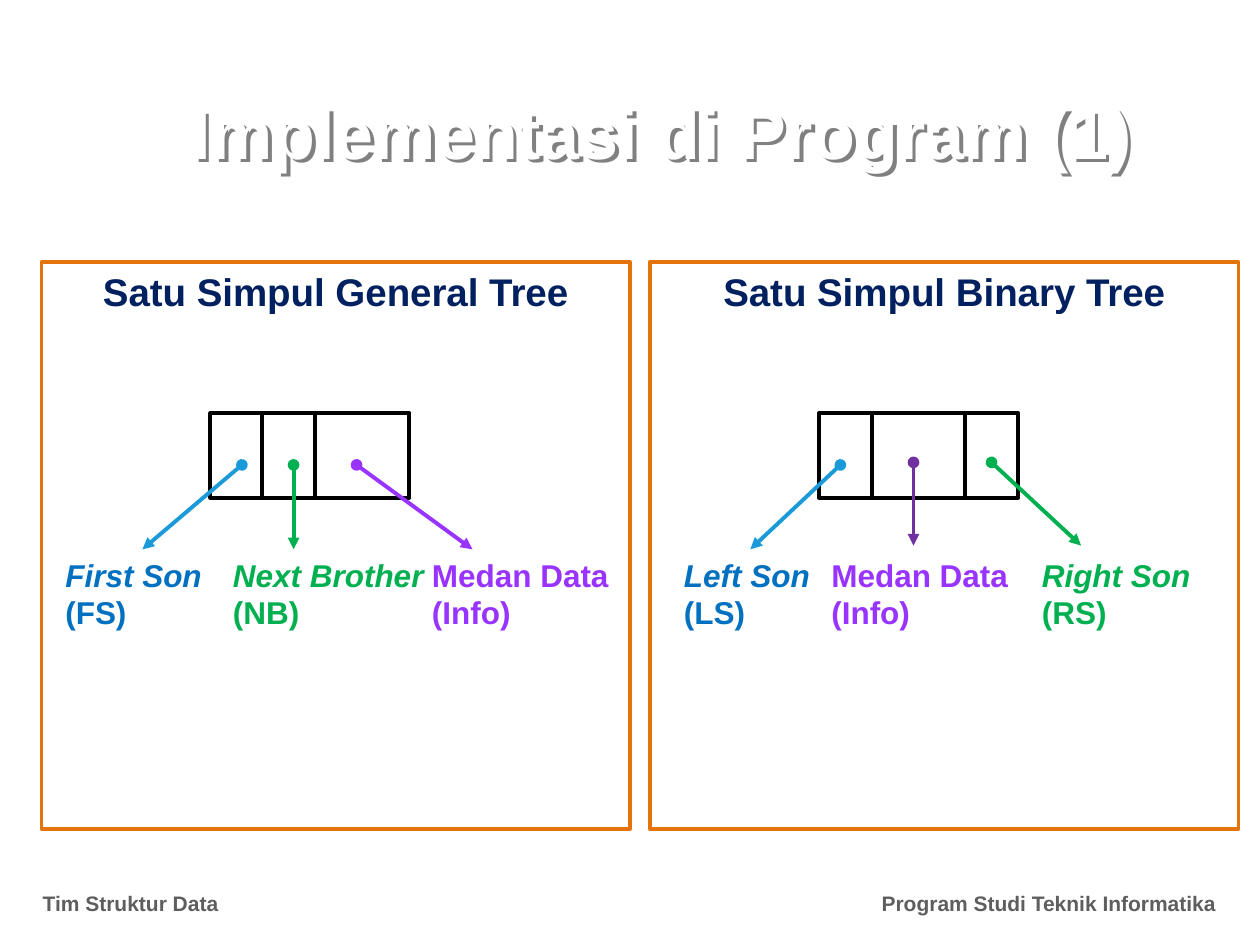
from lxml.etree import SubElement
from pptx import Presentation
from pptx.dml.color import RGBColor
from pptx.enum.shapes import MSO_CONNECTOR, MSO_SHAPE
from pptx.enum.text import MSO_ANCHOR, PP_ALIGN
from pptx.oxml import parse_xml
from pptx.oxml.ns import nsdecls, qn
from pptx.util import Inches, Pt

WHITE = RGBColor(0xFF, 0xFF, 0xFF)
BLACK = RGBColor(0, 0, 0)
GRAY = RGBColor(0x5E, 0x5E, 0x5E)
SHADOW_GRAY = RGBColor(0x80, 0x80, 0x80)
ORANGE = RGBColor(0xE5, 0x73, 0x0B)
NAVY = RGBColor(0x00, 0x20, 0x60)
BLUE = RGBColor(0x00, 0x70, 0xC0)
SKY = RGBColor(0x1B, 0x9A, 0xD9)
GREEN = RGBColor(0x00, 0xB0, 0x50)
VIOLET = RGBColor(0x99, 0x33, 0xFF)
PURPLE = RGBColor(0x70, 0x30, 0xA0)

TITLE = "Implementasi di Program (1)"
FOOTERS = [
    ("Tim Struktur Data", 0.24, 3.01, PP_ALIGN.LEFT),
    ("Program Studi Teknik Informatika", 6.08, 3.67, PP_ALIGN.RIGHT),
]
# Field: name, code, italic name, text colour, label left, label width,
# arrow colour, arrow start, arrow end (None: middle of the label's top)
PANELS = [
    {"heading": "Satu Simpul General Tree", "left": 0.33,
     "node": 1.67, "dividers": [2.08, 2.5],
     "fields": [
         ("First Son", "(FS)", True, BLUE, 0.42, 1.42, SKY, (1.92, 3.69), None),
         ("Next Brother", "(NB)", True, GREEN, 1.75, 1.75, GREEN, (2.33, 3.69), (2.33, 4.36)),
         ("Medan Data", "(Info)", False, VIOLET, 3.33, 1.67, VIOLET, (2.83, 3.69), (3.75, 4.36)),
     ]},
    {"heading": "Satu Simpul Binary Tree", "left": 5.16,
     "node": 6.5, "dividers": [6.92, 7.66],
     "fields": [
         ("Left Son", "(LS)", True, BLUE, 5.33, 1.25, SKY, (6.67, 3.69), None),
         ("Medan Data", "(Info)", False, VIOLET, 6.5, 1.67, PURPLE, (7.25, 3.67), (7.25, 4.33)),
         ("Right Son", "(RS)", True, GREEN, 8.17, 1.75, GREEN, (7.87, 3.67), (8.58, 4.33)),
     ]},
]
PANEL_TOP, PANEL_WIDTH, PANEL_HEIGHT = 2.08, 4.67, 4.5
NODE_TOP, NODE_WIDTH, NODE_HEIGHT = 3.28, 1.58, 0.67
LABEL_TOP, LABEL_HEIGHT = 4.36, 0.71


def style(font, size, color, italic=False):
    font.name = "Arial"
    font.size = Pt(size)
    font.bold = True
    font.italic = italic
    font.color.rgb = color


def add_rectangle(shapes, left, top, width, height, color, weight):
    box = shapes.add_shape(MSO_SHAPE.RECTANGLE, *map(Inches, (left, top, width, height)))
    box.shadow.inherit = False
    box.line.color.rgb = color
    box.line.width = Pt(weight)
    return box


def add_line(shapes, start, end, color):
    line = shapes.add_connector(MSO_CONNECTOR.STRAIGHT, *map(Inches, (*start, *end)))
    line.line.color.rgb = color
    line.line.width = Pt(2.25)
    SubElement(line._element.spPr, qn("a:effectLst"))
    return line


def add_text(page, lines, left, top, width, height, size, color, align=PP_ALIGN.LEFT):
    """Add a text box; lines holds (text, italic) pairs."""
    box = page.shapes.add_textbox(*map(Inches, (left, top, width, height)))
    frame = box.text_frame
    frame.word_wrap = True
    frame.text = "\n".join(text for text, _ in lines)
    for para, (_, italic) in zip(frame.paragraphs, lines):
        para.alignment = align
        style(para.font, size, color, italic)
    return box


def add_title(page):
    """Fill the title; with no box fill, the shadow falls from its letters."""
    title = page.shapes.title
    title.left, title.top, title.width, title.height = map(Inches, (0.75, 0.73, 9, 0.62))
    title.fill.background()
    title._element.spPr.append(parse_xml(
        f'<a:effectLst {nsdecls("a")}>'
        f'<a:outerShdw dist="{Pt(3)}" dir="2700000" algn="ctr" rotWithShape="0">'
        f'<a:srgbClr val="{SHADOW_GRAY}"/></a:outerShdw></a:effectLst>'))
    frame = title.text_frame
    frame.vertical_anchor = MSO_ANCHOR.MIDDLE
    para = frame.paragraphs[0]
    para.text = TITLE
    para.alignment = PP_ALIGN.CENTER
    style(para.font, 40, WHITE)


def add_panel(page, panel):
    box = add_rectangle(page.shapes, panel["left"], PANEL_TOP, PANEL_WIDTH, PANEL_HEIGHT, ORANGE, 2)
    box.fill.solid()
    box.fill.fore_color.rgb = WHITE
    frame = box.text_frame
    frame.word_wrap = True
    frame.vertical_anchor = MSO_ANCHOR.TOP
    para = frame.paragraphs[0]
    para.text = panel["heading"]
    para.alignment = PP_ALIGN.CENTER
    para.space_before = Pt(3.5)
    style(para.font, 22, NAVY)


def add_node(page, panel):
    group = page.shapes.add_group_shape()
    node = add_rectangle(group.shapes, panel["node"], NODE_TOP, NODE_WIDTH, NODE_HEIGHT, BLACK, 2.25)
    node.fill.background()
    for x in panel["dividers"]:
        add_line(group.shapes, (x, NODE_TOP), (x, NODE_TOP + NODE_HEIGHT), BLACK)


def add_field(page, name, code, italic, color, left, width, arrow_color, start, end):
    label = add_text(page, [(name, italic), (code, False)],
                     left, LABEL_TOP, width, LABEL_HEIGHT, 18, color)
    arrow = add_line(page.shapes, start, end or (left + width / 2, LABEL_TOP), arrow_color)
    if end is None:
        arrow.end_connect(label, 0)
    outline = arrow.line._get_or_add_ln()
    SubElement(outline, qn("a:headEnd"), type="oval")
    SubElement(outline, qn("a:tailEnd"), type="triangle")


def main():
    deck = Presentation()
    deck.slide_width, deck.slide_height = Inches(10), Inches(7.5)
    page = deck.slides.add_slide(deck.slide_layouts[5])
    add_title(page)
    for text, left, width, align in FOOTERS:
        add_text(page, [(text, False)], left, 7.02, width, 0.35, 12, GRAY, align)
    for panel in PANELS:
        add_panel(page, panel)
        add_node(page, panel)
        for field in panel["fields"]:
            add_field(page, *field)
    deck.save("out.pptx")


if __name__ == "__main__":
    main()
